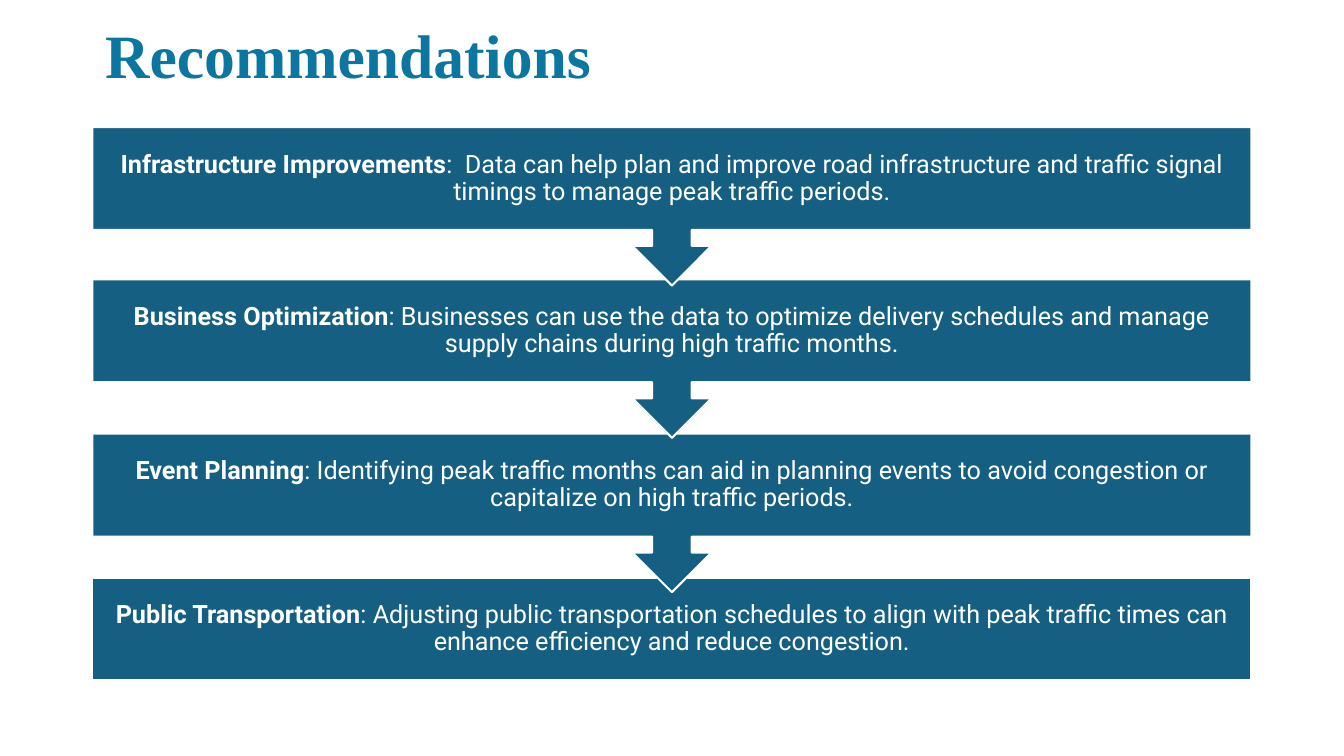
from pptx import Presentation
from pptx.dml.color import RGBColor
from pptx.enum.shapes import MSO_SHAPE
from pptx.enum.text import MSO_ANCHOR, MSO_AUTO_SIZE, PP_ALIGN
from pptx.util import Pt

EMU_PER_PX = 9525
COLORS = {"title": "0B76A0", "box": "156082", "white": "FFFFFF"}
BOX_LEFT, BOX_WIDTH = 88, 1104
BOX_HEIGHT, CALLOUT_HEIGHT = 98, 151
INSET = 13

# Top, heading and advice of each step, from first to last
RECOMMENDATIONS = [
    (121, "Infrastructure Improvements",
     ":  Data can help plan and improve road infrastructure and traffic signal "
     "timings to manage peak traffic periods."),
    (266, "Business Optimization",
     ": Businesses can use the data to optimize delivery schedules and manage "
     "supply chains during high traffic months."),
    (413, "Event Planning",
     ": Identifying peak traffic months can aid in planning events to avoid "
     "congestion or capitalize on high traffic periods."),
    (550, "Public Transportation",
     ": Adjusting public transportation schedules to align with peak traffic "
     "times can enhance efficiency and reduce congestion."),
]


def px(*lengths):
    return [length * EMU_PER_PX for length in lengths]


def color(name):
    return RGBColor.from_string(COLORS[name])


def format_paragraph(paragraph, font_name, size, color_name):
    paragraph.alignment = PP_ALIGN.CENTER
    paragraph.line_spacing = 0.9
    paragraph.font.name = font_name
    paragraph.font.size = Pt(size)
    paragraph.font.color.rgb = color(color_name)


def set_title(slide, text):
    title = slide.shapes.title
    title.left, title.top, title.width, title.height = px(88, 11, 502, 90)
    frame = title.text_frame
    frame.text = text
    frame.word_wrap = True
    frame.auto_size = MSO_AUTO_SIZE.NONE
    frame.vertical_anchor = MSO_ANCHOR.MIDDLE
    paragraph = frame.paragraphs[0]
    format_paragraph(paragraph, "Times New Roman", 44, "title")
    paragraph.font.bold = True


def add_step(slide, top, heading, advice, is_last):
    # Every step but the last points down to the next one
    kind = MSO_SHAPE.RECTANGLE if is_last else MSO_SHAPE.DOWN_ARROW_CALLOUT
    height = BOX_HEIGHT if is_last else CALLOUT_HEIGHT
    shape = slide.shapes.add_shape(kind, *px(BOX_LEFT, top, BOX_WIDTH, height))
    shape.shadow.inherit = False
    shape.fill.solid()
    shape.fill.fore_color.rgb = color("box")
    shape.line.color.rgb = color("white")
    shape.line.width = Pt(1.5)

    # Bold heading followed by the advice
    frame = shape.text_frame
    frame.word_wrap = True
    frame.vertical_anchor = MSO_ANCHOR.MIDDLE
    (frame.margin_left, frame.margin_top,
     frame.margin_right, frame.margin_bottom) = px(*[INSET] * 4)
    paragraph = frame.paragraphs[0]
    format_paragraph(paragraph, "Roboto", 18, "white")
    for text, bold in ((heading, True), (advice, False)):
        run = paragraph.add_run()
        run.text = text
        run.font.bold = bold


def main():
    presentation = Presentation()
    presentation.slide_width, presentation.slide_height = px(1280, 720)
    title_only = presentation.slide_layouts.get_by_name("Title Only")
    slide = presentation.slides.add_slide(title_only)

    set_title(slide, "Recommendations ")

    # Later steps lie behind, so that each arrow tip shows on the next box
    last = RECOMMENDATIONS[-1]
    for step in reversed(RECOMMENDATIONS):
        add_step(slide, *step, is_last=step is last)

    presentation.save("out.pptx")


if __name__ == "__main__":
    main()
